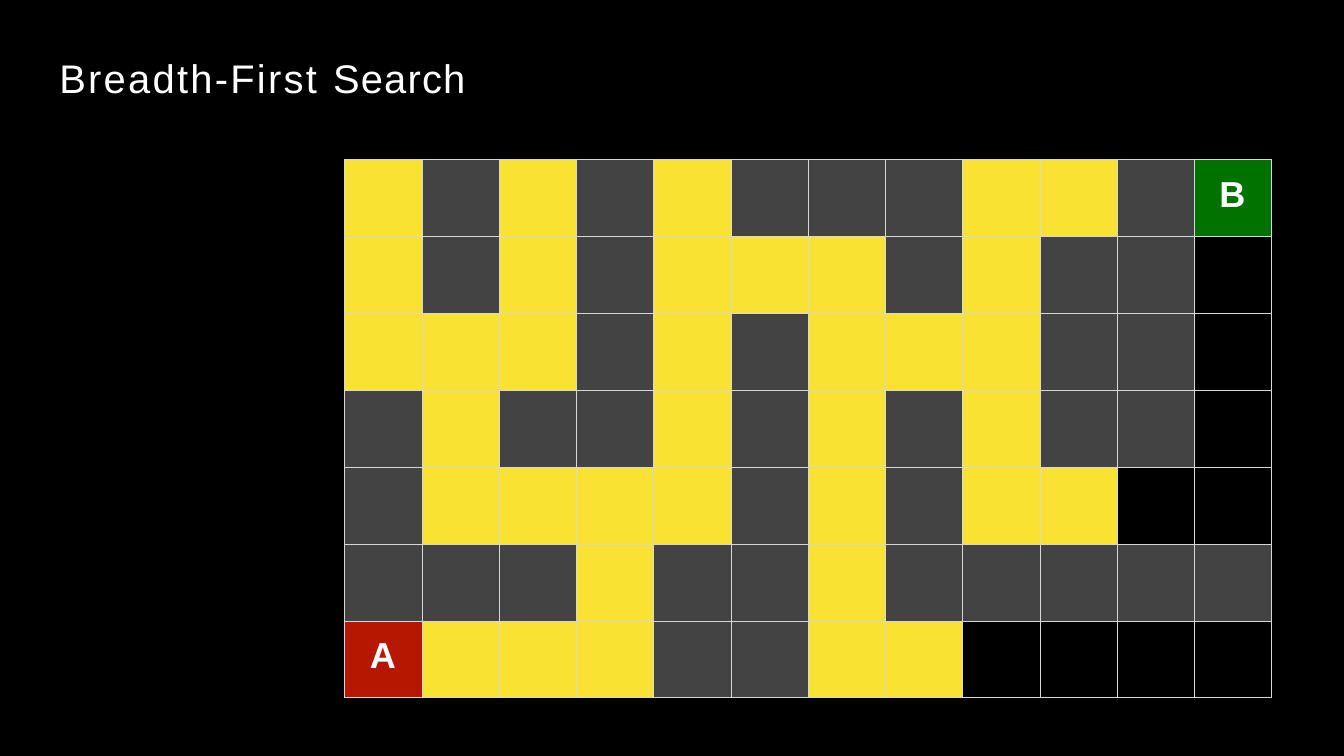
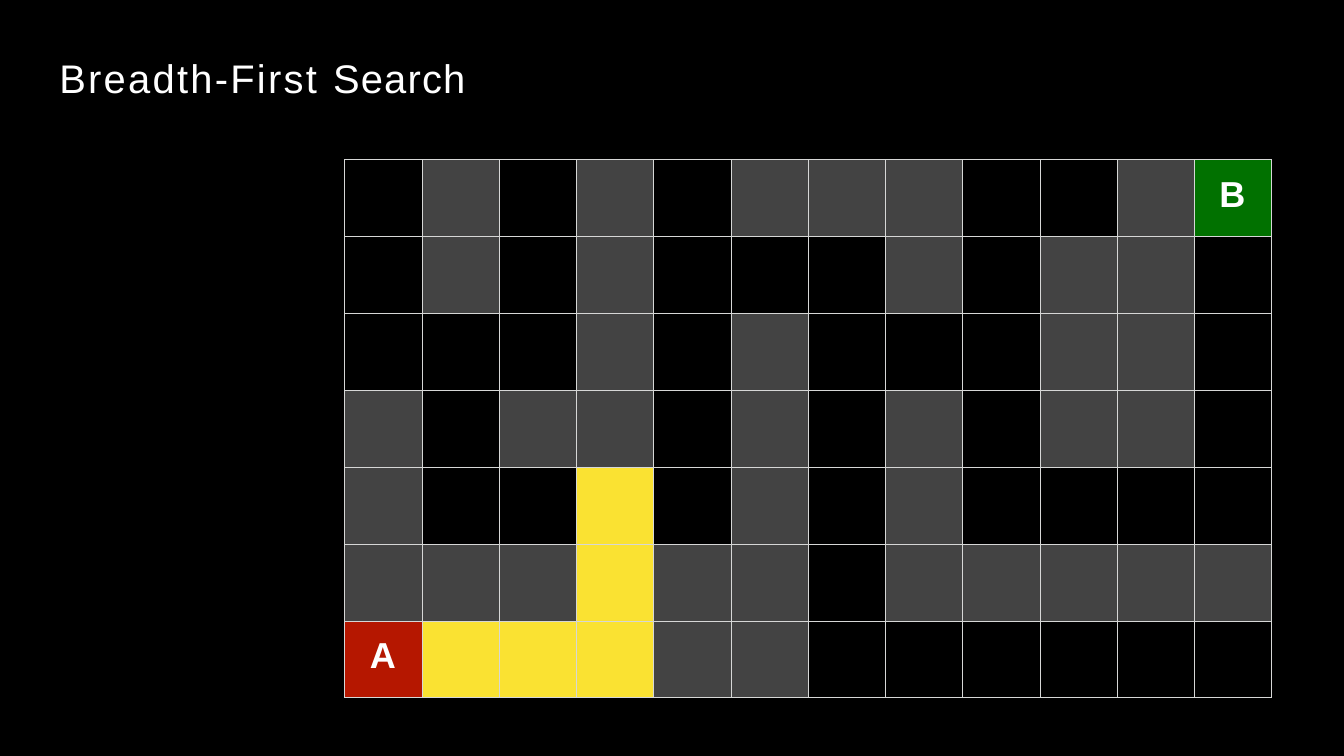
from lxml.etree import SubElement
from pptx import Presentation
from pptx.dml.color import RGBColor
from pptx.enum.text import MSO_ANCHOR, MSO_AUTO_SIZE
from pptx.oxml import parse_xml
from pptx.oxml.ns import nsdecls
from pptx.util import Inches, Pt

WIDTH, HEIGHT = 21.99, 12.37
BLACK, WHITE, RULE = "000000", "FFFFFF", "D6D7D6"
WALL, EXPLORED, START, GOAL = "434343", "FAE232", "B51700", "017100"
FONT = "Arial"
TITLE_BOX = (0.96, 0.86, 6.68, 0.81)
MAZE_BOX = (5.64, 2.61, 15.17, 8.81)
TITLE_SPANS = [("Breadth-First ", 270), ("Search", 140)]
MAZE = [
    ".#.#.###..#B",
    ".#.#...#.##.",
    "...#.#...##.",
    "#.##.#.#.##.",
    "#....#.#....",
    "###.##.#####",
    "A...##......",
]
CELL_FILLS = {"#": WALL, ".": BLACK, "A": START, "B": GOAL}
SEARCH_DEPTHS = [17, 5]


def color(value):
    """Turn a hex string into a colour."""
    return RGBColor.from_string(value)


def style_span(span, size, bold=False):
    """Apply the shared typeface to a run."""
    span.font.name = FONT
    span.font.size = Pt(size)
    span.font.bold = bold
    span.font.color.rgb = color(WHITE)


def explored_cells(depth):
    """Return the open cells at most depth steps from the start."""
    frontier = {
        (row, column)
        for row, line in enumerate(MAZE)
        for column, mark in enumerate(line)
        if mark == "A"
    }
    seen = set(frontier)
    for _ in range(depth):
        neighbours = {
            (row + down, column + across)
            for row, column in frontier
            for down, across in ((0, 1), (1, 0), (0, -1), (-1, 0))
        }
        frontier = {
            (row, column)
            for row, column in neighbours - seen
            if 0 <= row < len(MAZE)
            and 0 <= column < len(MAZE[0])
            and MAZE[row][column] == "."
        }
        seen |= frontier
    return {(row, column) for row, column in seen if MAZE[row][column] == "."}


def add_title(page, box):
    """Write the letter-spaced slide title."""
    frame = page.shapes.add_textbox(*map(Inches, box)).text_frame
    frame.word_wrap = True
    frame.auto_size = MSO_AUTO_SIZE.SHAPE_TO_FIT_TEXT
    frame.margin_left = frame.margin_top = Inches(0.01)
    frame.margin_right = frame.margin_bottom = 0
    para = frame.paragraphs[0]
    for text, spacing in TITLE_SPANS:
        span = para.add_run()
        span.text = text
        style_span(span, 47)
        span.font._element.set("spc", str(spacing))


def rule_cell(cell):
    """Draw a thin line on all four sides of a cell."""
    properties = cell._tc.get_or_add_tcPr()
    for index, side in enumerate("LRTB"):
        line = parse_xml(f'<a:ln{side} {nsdecls("a")} w="{Pt(1)}"/>')
        fill = SubElement(line, line.tag.replace(f"ln{side}", "solidFill"))
        SubElement(fill, line.tag.replace(f"ln{side}", "srgbClr")).set("val", RULE)
        properties.insert(index, line)


def label_cell(cell, letter):
    """Write a bold letter in the middle of a cell."""
    cell.text_frame.text = letter
    cell.vertical_anchor = MSO_ANCHOR.TOP
    cell.margin_left, cell.margin_top = Inches(0.41), Inches(0.25)
    cell.margin_right = cell.margin_bottom = 0
    style_span(cell.text_frame.paragraphs[0].runs[0], 42.5, bold=True)


def add_maze(page, box, depth):
    """Draw the maze with the cells explored so far."""
    left, top, width, height = map(Inches, box)
    table = page.shapes.add_table(
        len(MAZE), len(MAZE[0]), left, top, width, height
    ).table
    table.first_row = table.horz_banding = False
    explored = explored_cells(depth)
    for row, line in enumerate(MAZE):
        for column, mark in enumerate(line):
            cell = table.cell(row, column)
            rule_cell(cell)
            cell.fill.solid()
            fill = EXPLORED if (row, column) in explored else CELL_FILLS[mark]
            cell.fill.fore_color.rgb = color(fill)
            if mark.isalpha():
                label_cell(cell, mark)


def add_search_slide(deck, depth):
    """Add one step of the search."""
    page = deck.slides.add_slide(deck.slide_layouts[6])
    add_maze(page, MAZE_BOX, depth)
    add_title(page, TITLE_BOX)


def main():
    """Build and save the deck."""
    deck = Presentation()
    deck.slide_width, deck.slide_height = Inches(WIDTH), Inches(HEIGHT)
    backdrop = deck.slide_master.background.fill
    backdrop.solid()
    backdrop.fore_color.rgb = color(BLACK)
    for depth in SEARCH_DEPTHS:
        add_search_slide(deck, depth)
    deck.save("out.pptx")


if __name__ == "__main__":
    main()
